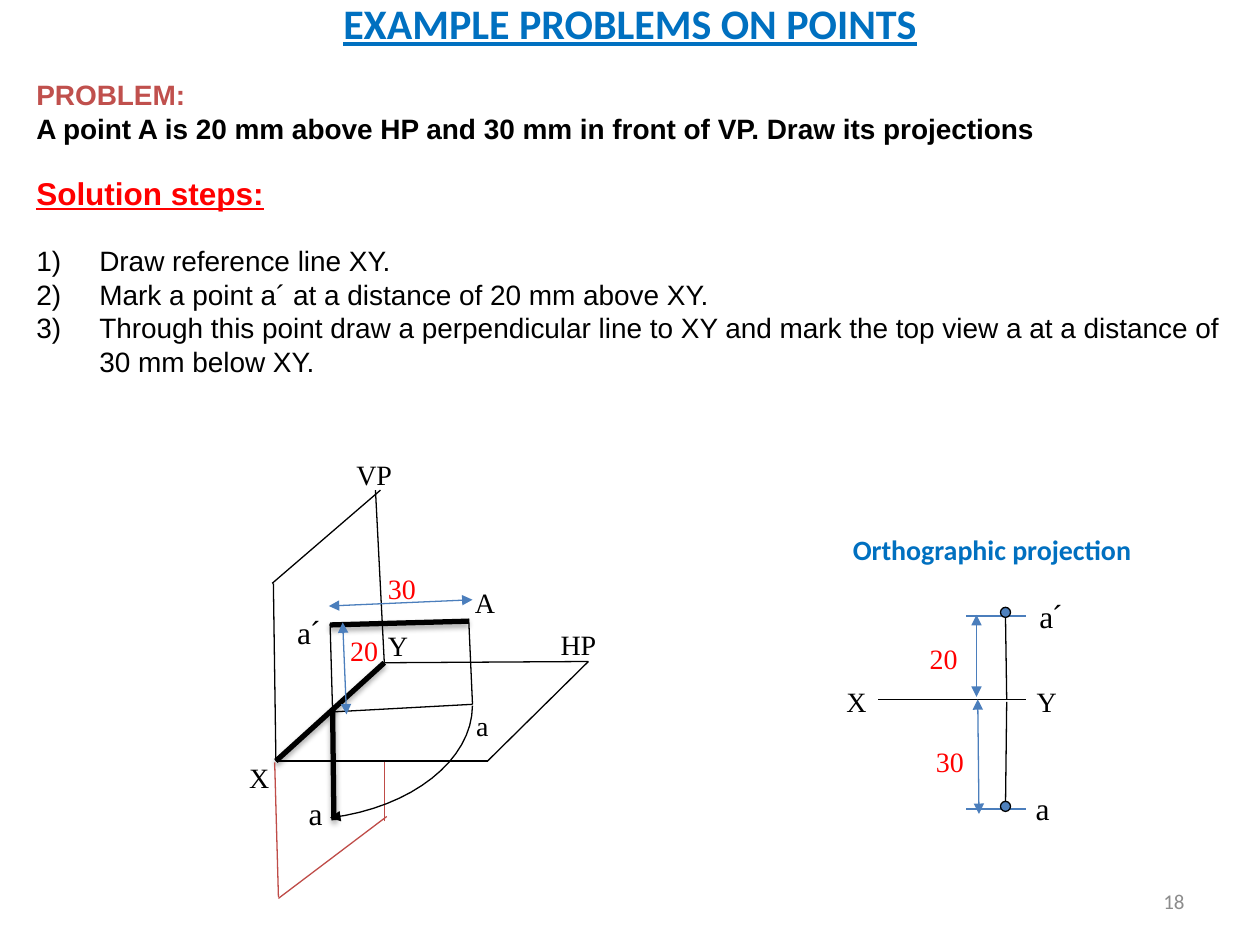
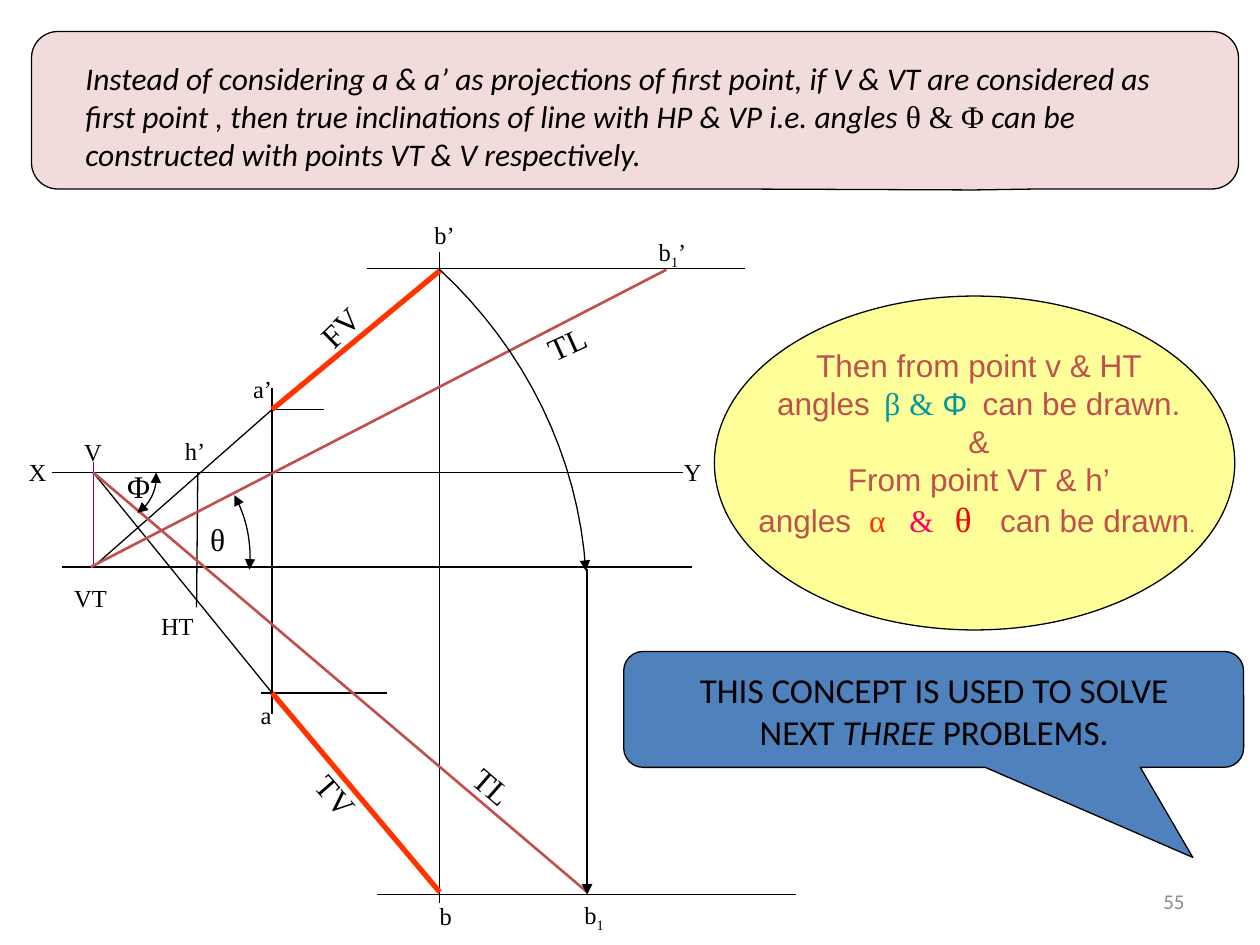
import pptx
import pptx.dml.color
import pptx.enum.shapes
import pptx.enum.text
import pptx.oxml.ns
import pptx.util
from lxml import etree

SHAPE = pptx.enum.shapes.MSO_SHAPE
ALIGN = pptx.enum.text.PP_ALIGN
BLACK, RED, ORANGE, TEAL = "000000", "FF0000", "FF3300", "009999"
BLUE, TITLE_BLUE, DIMENSION_BLUE = "4F81BD", "0070C0", "4B7EBC"
BRICK, TRACE_RED, GREY = "C0504D", "BF4C48", "8C8C8C"
TIMES, ARIAL, CALIBRI = "Times New Roman", "Arial", "Calibri"
SUBSCRIPT = {"baseline": "-25000"}


def rgb(value):
    return pptx.dml.color.RGBColor.from_string(value)


def length(inches):
    return pptx.util.Cm(2.54 * inches)


def child(parent, tag, **attributes):
    element = etree.SubElement(parent, pptx.oxml.ns.qn(tag))
    for name, value in attributes.items():
        element.set(name, str(value))
    return element


def style(font, size=None, color=None, name=None, bold=None, italic=None, underline=None):
    if size:
        font.size = pptx.util.Pt(size)
    if color:
        font.color.rgb = rgb(color)
    if name:
        font.name = name
    if bold is not None:
        font.bold = bold
    if italic is not None:
        font.italic = italic
    if underline is not None:
        font.underline = underline


def add_arrowheads(shape, ends):
    """ends holds 'head' for the start, 'tail' for the finish, or both."""
    for end in ("head", "tail"):
        if end in ends:
            child(shape.line._get_or_add_ln(), f"a:{end}End", type="triangle")


class Region:
    """Places parts relative to its own top left corner, in inches."""

    def __init__(self, slide, left, top):
        self.shapes = slide.shapes
        self.left, self.top = left, top

    def at(self, x, y):
        return length(self.left + x), length(self.top + y)

    def line(self, start, end, color=BLACK, width=0.75, ends="", shadow=False):
        connector = self.shapes.add_connector(
            pptx.enum.shapes.MSO_CONNECTOR.STRAIGHT, *self.at(*start), *self.at(*end))
        connector.line.color.rgb = rgb(color)
        connector.line.width = pptx.util.Pt(width)
        add_arrowheads(connector, ends)
        effects = child(connector._element.spPr, "a:effectLst")
        if shadow:
            outer = child(effects, "a:outerShdw", blurRad=40000, dist=23000,
                          dir=5400000, rotWithShape=0)
            child(child(outer, "a:srgbClr", val=BLACK), "a:alpha", val=35000)

    def lines(self, pairs, **look):
        for start, end in pairs:
            self.line(start, end, **look)

    def arc(self, p0, p1, p2, p3, ends, steps=16):
        """Draws a cubic curve with control points p1 and p2."""
        curve = []
        for step in range(steps + 1):
            t = step / steps
            weights = ((1 - t) ** 3, 3 * t * (1 - t) ** 2, 3 * t * t * (1 - t), t ** 3)
            curve.append(self.at(*(sum(w * c for w, c in zip(weights, axis))
                                   for axis in zip(p0, p1, p2, p3))))
        builder = self.shapes.build_freeform(*curve[0])
        builder.add_line_segments(curve[1:], close=False)
        outline = builder.convert_to_shape()
        outline.shadow.inherit = False
        outline.fill.background()
        outline.line.color.rgb = rgb(BLACK)
        outline.line.width = pptx.util.Pt(0.75)
        add_arrowheads(outline, ends)

    def shape(self, kind, x, y, w, h, fill, adjustments=()):
        body = self.shapes.add_shape(kind, *self.at(x, y), length(w), length(h))
        body.shadow.inherit = False
        body.fill.solid()
        body.fill.fore_color.rgb = rgb(fill)
        body.line.color.rgb = rgb(BLACK)
        body.line.width = pptx.util.Pt(0.75)
        for index, value in enumerate(adjustments):
            body.adjustments[index] = value

    def text(self, paragraphs, x, y, w, h, align=ALIGN.LEFT, wrap=True, **font):
        """A paragraph is a list of runs: (text, changes to the base font)."""
        box = self.shapes.add_textbox(*self.at(x, y), length(w), length(h))
        frame = box.text_frame
        frame.word_wrap = wrap
        for index, runs in enumerate(paragraphs):
            paragraph = frame.add_paragraph() if index else frame.paragraphs[0]
            paragraph.alignment = align
            style(paragraph.font, **font)
            for words, changes in runs:
                run = paragraph.add_run()
                run.text = words
                changes = dict(changes)
                baseline = changes.pop("baseline", None)
                style(run.font, **changes)
                if baseline:
                    run._r.get_or_add_rPr().set("baseline", baseline)
        return box

    def label(self, words, x, y, w, size=16, color=BLACK, rotation=0):
        runs = [(words, {})] if isinstance(words, str) else words
        box = self.text([runs], x, y, w, 0.1 + size / 60, wrap=False,
                        size=size, color=color, name=TIMES)
        box.rotation = rotation

    def labels(self, entries, **look):
        for words, x, y, w in entries:
            self.label(words, x, y, w, **look)


A_PRIME = [("a", {}), ("´", {"name": ARIAL})]


def slide_number(slide, number):
    box = Region(slide, 7.17, 6.95).text([[(number, {})]], 0, 0, 2.33, 0.4, ALIGN.RIGHT,
                                         size=12, color=GREY, name=CALIBRI)
    box.text_frame.vertical_anchor = pptx.enum.text.MSO_ANCHOR.MIDDLE


def problem_statement(slide, left, top):
    region = Region(slide, left, top)
    region.text([[("EXAMPLE PROBLEMS ON POINTS", {})]], 0, 0, 10, 0.5, ALIGN.CENTER,
                size=24, color=TITLE_BLUE, name=CALIBRI, bold=True, underline=True)
    region.text([[("PROBLEM:", {"color": BRICK})],
                 [("A point A is 20 mm above HP and 30 mm in front of VP. "
                   "Draw its projections", {})]],
                0.19, 0.64, 8.3, 0.64, wrap=False, size=16, color=BLACK, name=ARIAL, bold=True)
    # Heading and numbered steps
    heading = {"size": 18, "color": RED, "bold": True, "underline": True}
    steps = ["Draw reference line XY.",
             "Mark a point a´ at a distance of 20 mm above XY.",
             "Through this point draw a perpendicular line to XY and mark the top view a "
             "at a distance of 30 mm below XY."]
    solution = region.text([[("Solution steps:", heading)]], 0.19, 1.4, 9.64, 1.75, name=ARIAL)
    for index, step in enumerate(steps):
        paragraph = solution.text_frame.add_paragraph()
        if index == 0:
            paragraph.space_before = pptx.util.Pt(18.4)
        properties = paragraph._p.get_or_add_pPr()
        properties.set("marL", str(length(0.5)))
        properties.set("indent", str(-length(0.5)))
        child(properties, "a:buFont", typeface="+mj-lt")
        child(properties, "a:buAutoNum", type="arabicParenR")
        style(paragraph.font, size=16, color=BLACK, name=ARIAL)
        paragraph.add_run().text = step


def pictorial_view(slide, left, top):
    region = Region(slide, left, top)
    x, y, front, right = (0.19, 2.54), (1.05, 1.76), (1.87, 2.54), (2.67, 1.75)
    vp_left, vp_top = (0.16, 1.13), (1.02, 0.39)
    foot, top_view = (0.64, 2.15), (1.75, 2.09)
    # Reference line and the two projectors of A
    region.lines([(x, y), ((1.72, 1.43), (0.62, 1.46)), ((0.65, 3.01), (0.64, 2.13))],
                 width=3, shadow=True)
    # Vertical and horizontal planes, then the thin projectors
    region.lines([(vp_left, vp_top), (x, (0.17, 1.13)), (y, (0.98, 0.39)),
                  (front, x), (right, y), (front, right),
                  (top_view, foot), (top_view, (1.72, 1.41)), (foot, (0.62, 1.45))])
    # Horizontal plane turned down
    region.lines([((0.21, 3.62), (0.18, 2.55)), ((1.05, 3.02), (1.05, 2.55)),
                  ((1.07, 2.98), (0.21, 3.63))], color=TRACE_RED)
    region.arc((1.75, 2.1), (1.75, 2.53), (1.27, 2.91), (0.62, 2.99), "tail")
    # Dimensions and names
    region.lines([((0.61, 1.31), (1.75, 1.26)), ((0.72, 1.44), (0.75, 2.17))],
                 color=DIMENSION_BLUE, ends=("head", "tail"))
    region.labels([("30", 0.98, 0.99, 0.42), ("20", 0.68, 1.48, 0.42)], color=RED)
    region.labels([("X", -0.12, 2.49, 0.36), ("Y", 0.98, 1.44, 0.36), ("HP", 2.35, 1.43, 0.48),
                   ("a", 1.68, 2.07, 0.3), ("VP", 0.73, 0.08, 0.48), ("A", 1.67, 1.1, 0.36)])
    region.labels([(A_PRIME, 0.26, 1.32, 0.4), ("a", 0.35, 2.75, 0.31)], size=18)


def orthographic_view(slide, left, top):
    region = Region(slide, left, top)
    region.text([[("Orthographic projection", {})]], 0.17, 0.18, 2.55, 0.37,
                size=16, color=TITLE_BLUE, name=CALIBRI, bold=True)
    # Reference line and projectors
    region.lines([((1.64, 1.55), (0.47, 1.55)), ((1.49, 1.55), (1.48, 0.88)),
                  ((1.48, 2.42), (1.49, 1.57))])
    region.lines([((1.64, y), (1.17, y)) for y in (0.89, 2.42)], color=DIMENSION_BLUE)
    region.lines([((1.25, 0.88), (1.25, 1.53)), ((1.26, 1.55), (1.27, 2.46))],
                 color=DIMENSION_BLUE, ends=("head", "tail"))
    for y in (0.82, 2.36):
        region.shape(SHAPE.OVAL, 1.44, y, 0.08, 0.08, BLUE)
    region.labels([("X", 0.12, 1.38, 0.36), ("Y", 1.63, 1.38, 0.36)])
    region.labels([("20", 0.78, 1.04, 0.42), ("30", 0.83, 1.86, 0.42)], color=RED)
    region.labels([(A_PRIME, 1.65, 0.69, 0.4), ("a", 1.62, 2.21, 0.31)], size=18)


def trace_diagram(slide, left, top):
    region = Region(slide, left, top)
    v, vt = (0.74, 2.25), (0.74, 3)
    a_front, b_front = (2.16, 1.75), (3.49, 0.65)
    a_top, b_top, b1_top = (2.16, 4), (3.49, 5.58), (4.66, 5.58)
    # Reference line, loci and projectors
    region.lines([((x1, y), (x2, y)) for x1, x2, y in
                  [(0.41, 5.42, 2.25), (0.49, 5.49, 3), (2.91, 5.91, 0.63), (2.99, 6.32, 5.6),
                   (2.16, 2.57, 1.75), (2.07, 3.07, 4)]])
    region.lines([((2.16, 1.58), (2.16, 4.17)), ((3.49, 5.67), (3.49, 0.5)),
                  ((1.57, 2.25), (1.56, 3.32)), (a_front, vt), (v, a_top)])
    region.line((0.74, 2.17), vt, color="800080")
    # True lengths, then front and top views
    region.lines([(v, b1_top), ((0.72, 3), (5.29, 0.64))], color=BRICK, width=1.5)
    region.lines([(b_front, a_front), (a_top, b_top)], color=ORANGE, width=3)
    # Rotation of b' and the angles
    region.arc((3.49, 0.64), (4.17, 1.27), (4.59, 2.12), (4.65, 3.03), "tail")
    region.line((4.66, 3.02), (4.66, 5.6), ends="tail")
    both = ("head", "tail")
    region.arc((1.86, 2.43), (1.96, 2.61), (2, 2.82), (1.98, 3.02), both)
    region.arc((1.24, 2.25), (1.25, 2.37), (1.2, 2.5), (1.09, 2.57), both)
    # Names
    region.labels([("X", 0.13, 2.08, 0.34), ("Y", 5.33, 2.08, 0.34), ("V", 0.57, 1.92, 0.34),
                   ("VT", 0.49, 3.08, 0.46), ("HT", 1.18, 3.3, 0.46), ("h’", 1.37, 1.91, 0.36),
                   ("a’", 1.91, 1.42, 0.35), ("b’", 3.35, 0.2, 0.36), ("a", 1.97, 4.01, 0.29),
                   ("b", 3.39, 5.6, 0.3), ([("b", {}), ("1", SUBSCRIPT)], 4.54, 5.59, 0.36),
                   ([("b", {}), ("1", SUBSCRIPT), ("’", {})], 5.13, 0.33, 0.43)], size=14)
    region.labels([("θ", 1.57, 2.58, 0.33), ("Φ", 0.91, 2.16, 0.39)], size=18)
    # Names along the sloping lines, with room to stay on one line
    for words, x, y, rotation in [("FV", 2.42, 0.85, 315.5), ("TV", 2.38, 4.66, 49),
                                  ("TL", 4.24, 0.99, 335.7), ("TL", 3.64, 4.59, 41)]:
        region.label(words, x, y, 0.65, size=18, rotation=rotation)


def concept_note(slide, left, top):
    region = Region(slide, left, top)
    region.shape(SHAPE.ROUNDED_RECTANGULAR_CALLOUT, 0, 0, 9.58, 1.25, "F2DCDB",
                 (0.281, 0.506, 0.167))
    region.text([[("Instead of considering a & a’ as projections of first point, if V & VT are "
                   "considered as first point , then true inclinations of line with HP & VP i.e. "
                   "angles ", {}),
                  ("θ & Φ", {"name": TIMES, "italic": False}),
                  (" can be constructed with points VT & V respectively.", {})]],
                0.33, 0.17, 9, 1.01, size=18, color=BLACK, name=CALIBRI, italic=True)


def angles_note(slide, left, top):
    region = Region(slide, left, top)
    region.shape(SHAPE.OVAL, 0, 0, 4.13, 2.65, "FFFF99")

    def symbol(words, color, **changes):
        return "\t" + words, {"color": color, "name": TIMES, **changes}

    start = ("\tangles", {})
    note = region.text(
        [[("Then from point v & HT", {})],
         [start, symbol("β", TEAL), symbol("&", TEAL), symbol("Φ", TEAL, name=ARIAL),
          ("\tcan be drawn.", {})],
         [("&", {})],
         [("From point VT & h’", {})],
         [start, symbol("α", ORANGE), symbol("&", "FF0066"), symbol("θ", RED, size=20),
          ("\tcan be drawn", {}), (".", {"size": 12})]],
        0.17, 0.35, 3.86, 1.6, ALIGN.CENTER, size=18, color=BRICK, name=ARIAL)
    # Tab columns of the two lines that hold symbols
    columns = {1: (0.23, 1.08, 1.28, 1.54, 1.86), 4: (0.08, 0.96, 1.28, 1.64, 2)}
    for index, stops in columns.items():
        paragraph = note.text_frame.paragraphs[index]
        paragraph.alignment = ALIGN.LEFT
        properties = paragraph._p.get_or_add_pPr()
        tabs = child(properties, "a:tabLst")
        properties.insert(0, tabs)
        for stop in stops:
            child(tabs, "a:tab", pos=length(stop), algn="l")


def next_problems_callout(slide, left, top):
    region = Region(slide, left, top)
    region.shape(SHAPE.ROUNDED_RECTANGULAR_CALLOUT, 0, 0, 4.92, 0.92, BLUE,
                 (0.418, 1.277, 0.167))
    region.text([[("THIS CONCEPT IS USED TO SOLVE", {})],
                 [("NEXT ", {}), ("THREE", {"italic": True}), (" PROBLEMS.", {})]],
                0.46, 0.09, 4.01, 0.77, ALIGN.CENTER, wrap=False,
                size=20, color=BLACK, name=CALIBRI)


def main():
    deck = pptx.Presentation()
    deck.slide_width, deck.slide_height = length(10), length(7.5)
    blank = deck.slide_layouts[6]

    points = deck.slides.add_slide(blank)
    problem_statement(points, 0, -0.07)
    pictorial_view(points, 2, 3.5)
    orthographic_view(points, 6.5, 4)
    slide_number(points, "18")

    traces = deck.slides.add_slide(blank)
    trace_diagram(traces, 0, 1.5)
    concept_note(traces, 0.25, 0.25)
    angles_note(traces, 5.67, 2.35)
    next_problems_callout(traces, 4.95, 5.17)
    slide_number(traces, "55")
    deck.save("out.pptx")


if __name__ == "__main__":
    main()
